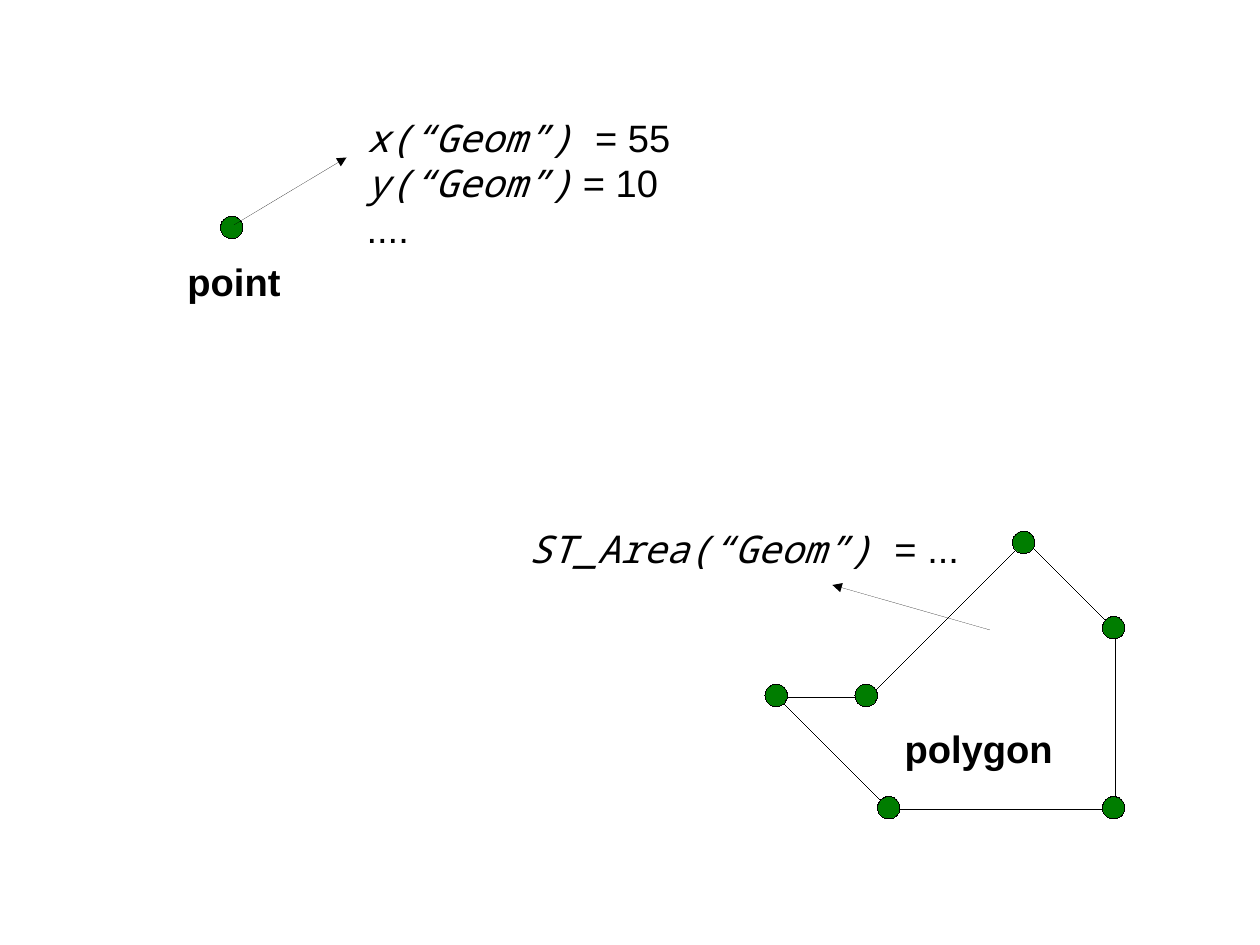
from lxml import etree
from pptx import Presentation
from pptx.dml.color import RGBColor
from pptx.enum import shapes, text
from pptx.oxml import ns
from pptx.util import Pt

BLACK = RGBColor(0, 0, 0)
GREEN = RGBColor(0x00, 0x7D, 0x00)
SANS, MONO = "Arial", "Noto Sans Mono"
SIZE, DOT = 24, 14.17

# Content: labels (text, box) and formulas (lines of code and value, box)
LABELS = [
    ("point", (104.9, 159, 85, 33.8)),
    ("polygon", (538.5, 453.3, 156.2, 33.8)),
]
FORMULAS = [
    ([("x(“Geom”) ", "= 55"), ("y(“Geom”)", " = 10"), ("", "....")],
     (223.9, 68.2, 266.4, 87.1)),
    ([("ST_Area(“Geom”) ", "= ...")], (326, 327.5, 308.9, 60.5)),
]
ARROWS = [
    ((147.4, 141.7), (218.3, 99.2)),
    ((623.6, 396.8), (524.4, 368.5)),
]
CORNERS = [(490.4, 439.4), (561.3, 510.2), (703, 510.2),
           (703, 396.8), (646.3, 340.2), (547.1, 439.4)]
# Dot centres: the lone point, then the polygon's corners
DOTS = [(146, 143.2), (489, 438), (545.7, 438), (559.9, 508.8),
        (701.6, 508.8), (644.9, 341.6), (701.6, 395.4)]

deck = Presentation()
deck.slide_width, deck.slide_height = Pt(793.75), Pt(595.25)
slide = deck.slides.add_slide(deck.slide_layouts[6])
tree = slide.shapes


def outline(shape):
    shape.line.color.rgb = BLACK
    # A hairline needs its zero width written out
    props = shape._element.spPr.find(ns.qn("a:ln"))
    props.set("w", "0")
    return props


def add_box(box):
    frame = tree.add_textbox(*map(Pt, box)).text_frame
    frame.word_wrap = True
    frame.auto_size = text.MSO_AUTO_SIZE.SHAPE_TO_FIT_TEXT
    return frame


def style(run, face, bold=False, slant=False):
    font = run.font
    font.name, font.size = face, Pt(SIZE)
    font.bold, font.italic = bold, slant
    font.color.rgb = BLACK


# Polygon outline
pen = tree.build_freeform(*map(Pt, CORNERS[0]))
pen.add_line_segments([(Pt(x), Pt(y)) for x, y in CORNERS[1:]], close=True)
area = pen.convert_to_shape()
area.fill.background()
area.shadow.inherit = False
outline(area)

# Green dots
for x, y in DOTS:
    dot = tree.add_shape(shapes.MSO_SHAPE.OVAL, Pt(x - DOT / 2),
                         Pt(y - DOT / 2), Pt(DOT), Pt(DOT))
    dot.shadow.inherit = False
    dot.fill.solid()
    dot.fill.fore_color.rgb = GREEN
    outline(dot)

# Arrows to the formulas
for start, end in ARROWS:
    arrow = tree.add_connector(shapes.MSO_CONNECTOR.STRAIGHT,
                               *map(Pt, start + end))
    props = outline(arrow)
    etree.SubElement(props, ns.qn("a:tailEnd"), type="triangle")
    etree.SubElement(arrow._element.spPr, ns.qn("a:effectLst"))

# Bold labels
for word, box in LABELS:
    para = add_box(box).paragraphs[0]
    para.text = word
    para.alignment = text.PP_ALIGN.CENTER
    style(para.runs[0], SANS, bold=True)

# Formulas: code in slanted mono, value in plain sans
for lines, box in FORMULAS:
    frame = add_box(box)
    for i, (code, value) in enumerate(lines):
        para = frame.add_paragraph() if i else frame.paragraphs[0]
        for part, face in ((code, MONO), (value, SANS)):
            if part:
                run = para.add_run()
                run.text = part
                style(run, face, slant=face == MONO)

deck.save("out.pptx")
